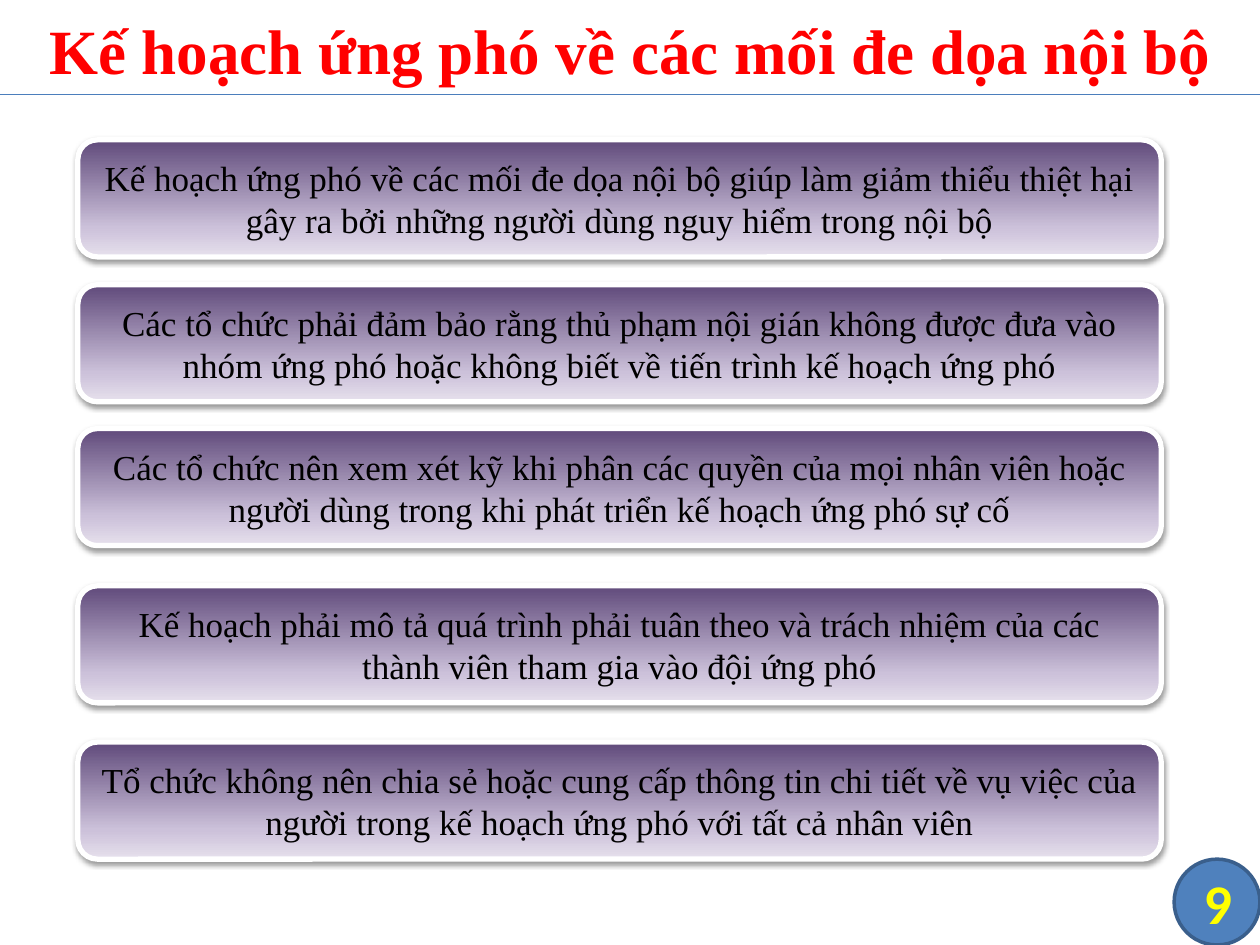
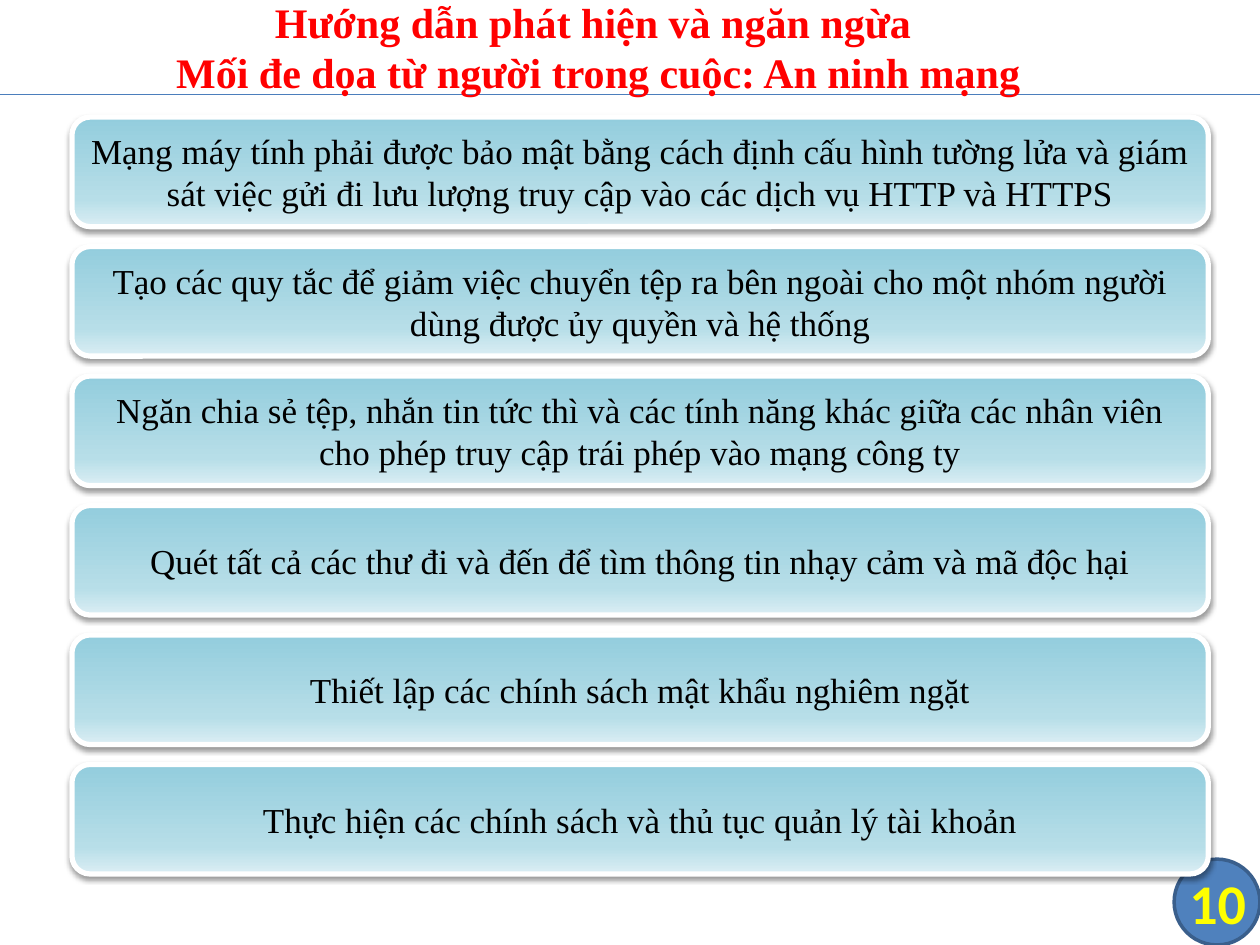
import pptx
import pptx.util
import pptx.dml.color
import pptx.enum.shapes
import pptx.enum.text
import pptx.oxml.ns
from lxml import etree

Cm, Pt = pptx.util.Cm, pptx.util.Pt
RGBColor = pptx.dml.color.RGBColor
Shape = pptx.enum.shapes.MSO_SHAPE
qn = pptx.oxml.ns.qn

RED = RGBColor(0xFF, 0x00, 0x00)
BLACK = RGBColor(0x00, 0x00, 0x00)
WHITE = RGBColor(0xFF, 0xFF, 0xFF)
YELLOW = RGBColor(0xFF, 0xFF, 0x00)
BADGE_BLUE = RGBColor(0x4F, 0x81, 0xBD)
BADGE_EDGE = RGBColor(0x3A, 0x5F, 0x8C)
RULE_BLUE = RGBColor(0x4B, 0x7E, 0xBC)
# Gradient colours from the bottom of a panel to its top
PURPLES = (RGBColor(0xE6, 0xE0, 0xEC), RGBColor(0xCC, 0xC1, 0xDA), RGBColor(0x60, 0x4A, 0x7B))
AQUAS = (RGBColor(0xDB, 0xEE, 0xF4), RGBColor(0xB7, 0xDE, 0xE8), RGBColor(0x93, 0xCD, 0xDD))
GRADIENT_POSITIONS = (0, 25, 100)

SERIF, SANS = "Times New Roman", "Calibri"
SLIDE_WIDTH, SLIDE_HEIGHT = 25.4, 19.05
RULE_TOP = 1.91
BADGE_SIZE = 1.73

# Content; lengths in centimetres
SLIDES = [
    {
        "number": 9,
        "title": "Kế hoạch ứng phó về các mối đe dọa nội bộ",
        "title_size": 36, "title_at": (0, 0), "title_bottom_inset": 0.13,
        "colours": PURPLES,
        "left": 1.57, "width": 21.84, "height": 2.36,
        "tops": [2.82, 5.74, 8.64, 11.81, 14.96],
        "points": [
            "Kế hoạch ứng phó về các mối đe dọa nội bộ giúp làm giảm thiểu thiệt hại gây ra bởi những người dùng nguy hiểm trong nội bộ",
            "Các tổ chức phải đảm bảo rằng thủ phạm nội gián không được đưa vào nhóm ứng phó hoặc không biết về tiến trình kế hoạch ứng phó",
            "Các tổ chức nên xem xét kỹ khi phân các quyền của mọi nhân viên hoặc người dùng trong khi phát triển kế hoạch ứng phó sự cố",
            "Kế hoạch phải mô tả quá trình phải tuân theo và trách nhiệm của các thành viên tham gia vào đội ứng phó",
            "Tổ chức không nên chia sẻ hoặc cung cấp thông tin chi tiết về vụ việc của người trong kế hoạch ứng phó với tất cả nhân viên",
        ],
    },
    {
        "number": 10,
        "title": "Hướng dẫn phát hiện và ngăn ngừa \vMối đe dọa từ người trong cuộc: An ninh mạng",
        "title_size": 24, "title_at": (-0.64, 0.66), "title_bottom_inset": 1.55,
        "colours": AQUAS,
        "left": 1.45, "width": 22.91, "height": 2.21,
        "tops": [2.36 + 2.61 * row for row in range(6)],
        "points": [
            "Mạng máy tính phải được bảo mật bằng cách định cấu hình tường lửa và giám sát việc gửi đi lưu lượng truy cập vào các dịch vụ HTTP và HTTPS",
            "Tạo các quy tắc để giảm việc chuyển tệp ra bên ngoài cho một nhóm người dùng được ủy quyền và hệ thống",
            "Ngăn chia sẻ tệp, nhắn tin tức thì và các tính năng khác giữa các nhân viên cho phép truy cập trái phép vào mạng công ty",
            "Quét tất cả các thư đi và đến để tìm thông tin nhạy cảm và mã độc hại",
            "Thiết lập các chính sách mật khẩu nghiêm ngặt",
            "Thực hiện các chính sách và thủ tục quản lý tài khoản",
        ],
    },
]


def write(shape, text, font_name, size, colour, bold=False):
    """Fill a shape with one centred paragraph."""
    frame = shape.text_frame
    frame.word_wrap = True
    frame.vertical_anchor = pptx.enum.text.MSO_ANCHOR.MIDDLE
    paragraph = frame.paragraphs[0]
    paragraph.text = text
    paragraph.alignment = pptx.enum.text.PP_ALIGN.CENTER
    font = paragraph.font
    font.name, font.size, font.bold = font_name, Pt(size), bold
    font.color.rgb = colour
    return frame


def outline(shape, colour, width):
    shape.line.color.rgb = colour
    shape.line.width = Pt(width)


def add_frame(slide):
    """Draw the number badge and the rule under the title."""
    badge = slide.shapes.add_shape(
        Shape.FLOWCHART_CONNECTOR, Cm(SLIDE_WIDTH - BADGE_SIZE),
        Cm(SLIDE_HEIGHT - BADGE_SIZE), Cm(BADGE_SIZE), Cm(BADGE_SIZE))
    badge.shadow.inherit = False
    badge.fill.solid()
    badge.fill.fore_color.rgb = BADGE_BLUE
    outline(badge, BADGE_EDGE, 2)

    rule = slide.shapes.add_connector(
        pptx.enum.shapes.MSO_CONNECTOR.STRAIGHT,
        Cm(0), Cm(RULE_TOP), Cm(SLIDE_WIDTH), Cm(RULE_TOP))
    outline(rule, RULE_BLUE, 0.75)
    etree.SubElement(rule._element.spPr, qn("a:effectLst"))


def add_title(slide, content):
    left, top = content["title_at"]
    title = slide.shapes.add_textbox(Cm(left), Cm(top), Cm(SLIDE_WIDTH), Cm(1.98))
    frame = write(title, content["title"], SERIF, content["title_size"], RED, bold=True)
    frame.margin_bottom = Cm(content["title_bottom_inset"])


def add_number(slide, number):
    label = slide.shapes.add_textbox(
        Cm(SLIDE_WIDTH - 1.7), Cm(SLIDE_HEIGHT - BADGE_SIZE), Cm(1.7), Cm(BADGE_SIZE))
    frame = write(label, str(number), SANS, 32, YELLOW, bold=True)
    frame.margin_left = frame.margin_right = frame.margin_top = frame.margin_bottom = 0


def add_colour(parent, colour):
    return etree.SubElement(parent, qn("a:srgbClr"), val=str(colour))


def shade(panel, colours):
    """Apply a three-stop upward gradient and a soft shadow below."""
    panel.fill.gradient()
    panel.fill.gradient_angle = 90
    properties = panel._element.spPr
    stops = properties.find(".//" + qn("a:gsLst"))
    for stop in list(stops):
        stops.remove(stop)
    for position, colour in zip(GRADIENT_POSITIONS, colours):
        add_colour(etree.SubElement(stops, qn("a:gs"), pos=str(position * 1000)), colour)

    panel.shadow.inherit = False
    shadow = etree.SubElement(
        properties.find(qn("a:effectLst")), qn("a:outerShdw"),
        blurRad="40000", dist="20000", dir="5400000", rotWithShape="0")
    etree.SubElement(add_colour(shadow, BLACK), qn("a:alpha"), val="38000")


def add_panels(slide, content):
    for top, point in zip(content["tops"], content["points"]):
        panel = slide.shapes.add_shape(
            Shape.ROUNDED_RECTANGLE, Cm(content["left"]), Cm(top),
            Cm(content["width"]), Cm(content["height"]))
        shade(panel, content["colours"])
        outline(panel, WHITE, 3)
        write(panel, point, SERIF, 20, BLACK)


def main():
    deck = pptx.Presentation()
    deck.slide_width, deck.slide_height = Cm(SLIDE_WIDTH), Cm(SLIDE_HEIGHT)
    for content in SLIDES:
        slide = deck.slides.add_slide(deck.slide_layouts[6])
        add_frame(slide)
        add_title(slide, content)
        add_number(slide, content["number"])
        add_panels(slide, content)
    deck.save("out.pptx")


if __name__ == "__main__":
    main()
